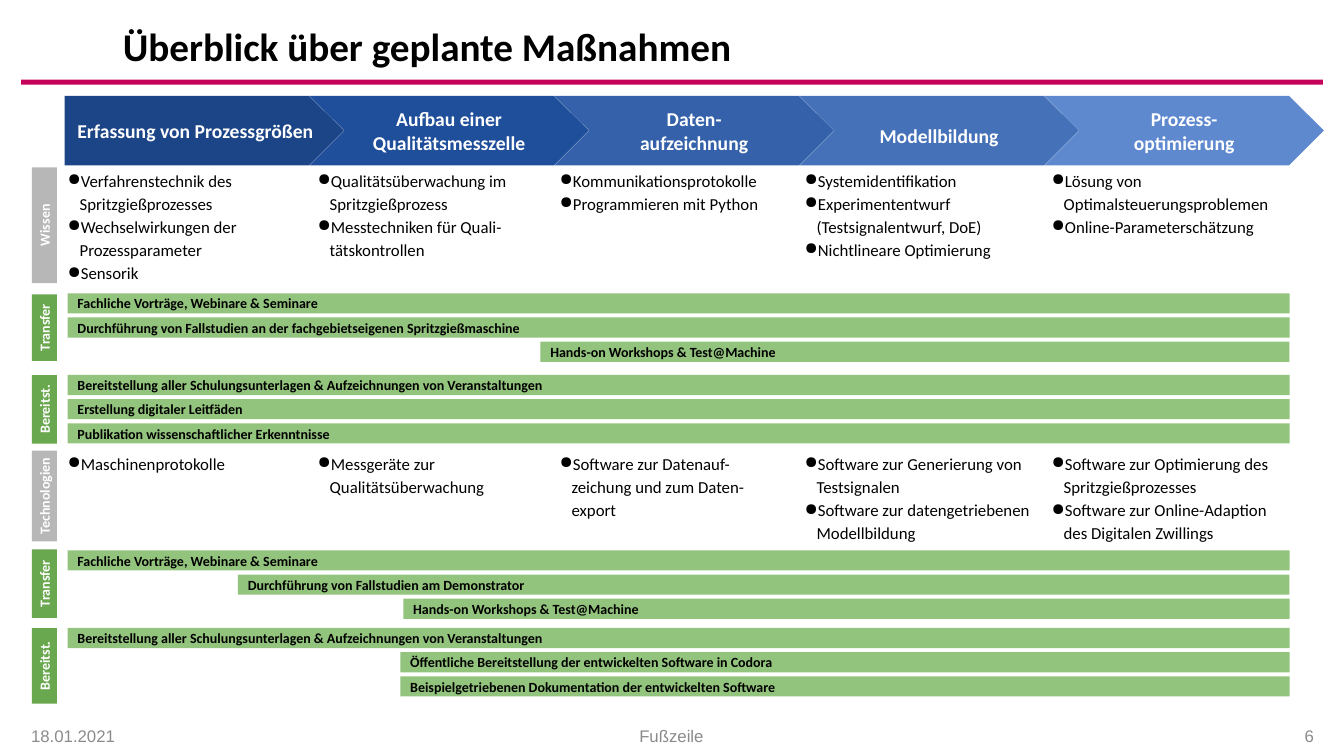
"""Build the overview slide of planned measures along five process phases."""
from copy import deepcopy

from lxml.etree import SubElement
from pptx import Presentation
from pptx.dml.color import RGBColor
from pptx.enum.shapes import MSO_SHAPE
from pptx.enum.text import MSO_ANCHOR, PP_ALIGN
from pptx.oxml.ns import qn
from pptx.util import Inches, Pt

COLORS = {
    "rule": "C5005A", "topic": "B7B7B7", "measure": "6AA84F", "bar": "93C47D",
    "black": "000000", "white": "FFFFFF", "footer": "8B8B8B",
    "phase1": "1C4587", "phase2": "1F4E9A", "phase3": "3461A9",
    "phase4": "4471B8", "phase5": "5E89CF",
}
FORMATS = {
    "title": {"name": "Calibri", "size": Pt(28), "bold": True},
    "phase": {"name": "Calibri", "size": Pt(14), "bold": True},
    "small": {"name": "Calibri", "size": Pt(10), "bold": True},
    "topics": {"name": "Calibri", "size": Pt(12), "bold": False},
    "footer": {"name": "Arial", "size": Pt(12), "bold": False},
}
PHASES = [
    "Erfassung von Prozessgrößen", "Aufbau einer Qualitätsmesszelle",
    "Daten-\naufzeichnung", "Modellbildung", "Prozess-\noptimierung",
]
PHASE_LEFT, PHASE_PITCH = 0.64, 2.43
COLUMN_LEFTS = [0.67, 3.15, 5.55, 7.98, 10.43]
TOPIC_ROWS = [
    (1.66, [
        ["Verfahrenstechnik des Spritzgießprozesses",
         "Wechselwirkungen der Prozessparameter", "Sensorik"],
        ["Qualitätsüberwachung im Spritzgießprozess",
         "Messtechniken für Quali-\ntätskontrollen"],
        ["Kommunikationsprotokolle", "Programmieren mit Python"],
        ["Systemidentifikation", "Experimententwurf (Testsignalentwurf, DoE)",
         "Nichtlineare Optimierung"],
        ["Lösung von Optimalsteuerungsproblemen", "Online-Parameterschätzung"],
    ]),
    (4.47, [
        ["Maschinenprotokolle"],
        ["Messgeräte zur Qualitätsüberwachung"],
        ["Software zur Datenauf-\nzeichung und zum Daten-\nexport"],
        ["Software zur Generierung von Testsignalen",
         "Software zur datengetriebenen Modellbildung"],
        ["Software zur Optimierung des Spritzgießprozesses",
         "Software zur Online-Adaption des Digitalen Zwillings"],
    ]),
]
SIDE_LABELS = [
    ("Wissen", "topic", 1.66, 1.15), ("Transfer", "measure", 2.92, 0.66),
    ("Bereitst.", "measure", 3.72, 0.68), ("Technologien", "topic", 4.47, 0.9),
    ("Transfer", "measure", 5.45, 0.68), ("Bereitst.", "measure", 6.23, 0.75),
]
BAR_RIGHT, BAR_PITCH = 12.79, 0.24
BAR_GROUPS = [
    (2.91, [
        (0.67, "Fachliche Vorträge, Webinare & Seminare"),
        (0.67, "Durchführung von Fallstudien an der fachgebietseigenen Spritzgießmaschine"),
        (5.36, "Hands-on Workshops & Test@Machine"),
    ]),
    (3.72, [
        (0.67, "Bereitstellung aller Schulungsunterlagen & Aufzeichnungen von Veranstaltungen"),
        (0.67, "Erstellung digitaler Leitfäden"),
        (0.67, "Publikation wissenschaftlicher Erkenntnisse"),
    ]),
    (5.46, [
        (0.67, "Fachliche Vorträge, Webinare & Seminare"),
        (2.36, "Durchführung von Fallstudien am Demonstrator"),
        (4.0, "Hands-on Workshops & Test@Machine"),
    ]),
    (6.23, [
        (0.67, "Bereitstellung aller Schulungsunterlagen & Aufzeichnungen von Veranstaltungen"),
        (3.97, "Öffentliche Bereitstellung der entwickelten Software in Codora"),
        (3.97, "Beispielgetriebenen Dokumentation der entwickelten Software"),
    ]),
]
FOOTERS = [
    ("18.01.2021", 0.21, 2.13, PP_ALIGN.LEFT),
    ("Fußzeile", 2.41, 8.5, PP_ALIGN.CENTER),
    ("6", 11.0, 2.13, PP_ALIGN.RIGHT),
]


def write(paragraph, text, style, color, align=PP_ALIGN.LEFT, spacing=1.0):
    """Fill a paragraph with formatted text, turning newlines into breaks."""
    paragraph.text = text
    paragraph.alignment = align
    paragraph.line_spacing = spacing
    for run in paragraph.runs:
        for attribute, value in FORMATS[style].items():
            setattr(run.font, attribute, value)
        run.font.color.rgb = RGBColor.from_string(COLORS[color])
    for line_break in paragraph._p.findall(qn("a:br")):
        line_break.append(deepcopy(paragraph.runs[0]._r.rPr))


def set_frame(frame, insets, anchor=MSO_ANCHOR.MIDDLE):
    """Set wrapping, anchor and the left, top, right and bottom insets."""
    frame.word_wrap = True
    frame.vertical_anchor = anchor
    for side, inset in zip(("left", "top", "right", "bottom"), insets):
        setattr(frame, f"margin_{side}", Inches(inset))


def add_block(slide, preset, box, color):
    """Add a flat filled shape without outline or shadow."""
    block = slide.shapes.add_shape(preset, *map(Inches, box))
    block.shadow.inherit = False
    block.fill.solid()
    block.fill.fore_color.rgb = RGBColor.from_string(COLORS[color])
    block.line.fill.background()
    return block


def add_phase(slide, index, name):
    """Add one arrow of the process chain."""
    first = index == 0
    preset = MSO_SHAPE.PENTAGON if first else MSO_SHAPE.CHEVRON
    left = PHASE_LEFT + index * PHASE_PITCH
    phase = add_block(slide, preset, (left, 0.95, 2.77, 0.69), f"phase{index + 1}")
    side = 0.1 if first else 0
    top = 0.2 if name == "Modellbildung" else 0.1
    set_frame(phase.text_frame, (side, top, side, 0.1))
    write(phase.text_frame.paragraphs[0], name, "phase", "white", PP_ALIGN.CENTER)


def add_side_label(slide, name, color, top, height):
    """Add a label that reads upwards at the left edge."""
    center_x, thickness = 0.44, 0.25
    box = (center_x - height / 2, top + (height - thickness) / 2, height, thickness)
    label = add_block(slide, MSO_SHAPE.RECTANGLE, box, color)
    label.rotation = 270
    set_frame(label.text_frame, (0, 0.1, 0, 0.1))
    write(label.text_frame.paragraphs[0], name, "small", "white", PP_ALIGN.CENTER)


def add_bar(slide, left, top, measure):
    """Add a measure bar that runs to the common right edge."""
    box = (left, top, BAR_RIGHT - left, 0.2)
    bar = add_block(slide, MSO_SHAPE.RECTANGLE, box, "bar")
    set_frame(bar.text_frame, (0.1, 0.1, 0.1, 0.1))
    write(bar.text_frame.paragraphs[0], measure, "small", "black")


def add_topics(slide, left, top, topics):
    """Add the bulleted topics of one phase."""
    frame = slide.shapes.add_textbox(*map(Inches, (left, top, 2.36, 0.95))).text_frame
    set_frame(frame, (0, 0, 0, 0), MSO_ANCHOR.TOP)
    for index, topic in enumerate(topics):
        paragraph = frame.add_paragraph() if index else frame.paragraphs[0]
        write(paragraph, topic, "topics", "black", spacing=1.15)
        properties = paragraph._p.get_or_add_pPr()
        properties.set("marL", str(Inches(0.12)))
        properties.set("indent", str(Inches(-0.13)))
        SubElement(properties, qn("a:buChar")).set("char", "●")


def add_line_of_text(slide, box, text, style, color, align=PP_ALIGN.LEFT, spacing=1.0):
    """Add a single line of text, centred vertically in its box."""
    frame = slide.shapes.add_textbox(*map(Inches, box)).text_frame
    set_frame(frame, (0.1, 0.05, 0.1, 0.05))
    write(frame.paragraphs[0], text, style, color, align, spacing)


def main():
    """Assemble the slide and save it."""
    deck = Presentation()
    deck.slide_width, deck.slide_height = Inches(13.33), Inches(7.5)
    slide = deck.slides.add_slide(deck.slide_layouts[6])
    add_block(slide, MSO_SHAPE.RECTANGLE, (0.21, 0.79, 12.91, 0.05), "rule")
    add_line_of_text(slide, (1.12, 0.21, 11.08, 0.55), "Überblick über geplante Maßnahmen",
                     "title", "black", spacing=0.9)
    for label in SIDE_LABELS:
        add_side_label(slide, *label)
    for top, columns in TOPIC_ROWS:
        for left, topics in zip(COLUMN_LEFTS, columns):
            add_topics(slide, left, top, topics)
    for top, bars in BAR_GROUPS:
        for row, (left, measure) in enumerate(bars):
            add_bar(slide, left, top + row * BAR_PITCH, measure)
    for index, name in enumerate(PHASES):
        add_phase(slide, index, name)
    for text, left, width, align in FOOTERS:
        add_line_of_text(slide, (left, 7.1, width, 0.39), text, "footer", "footer", align)
    deck.save("out.pptx")


if __name__ == "__main__":
    main()
